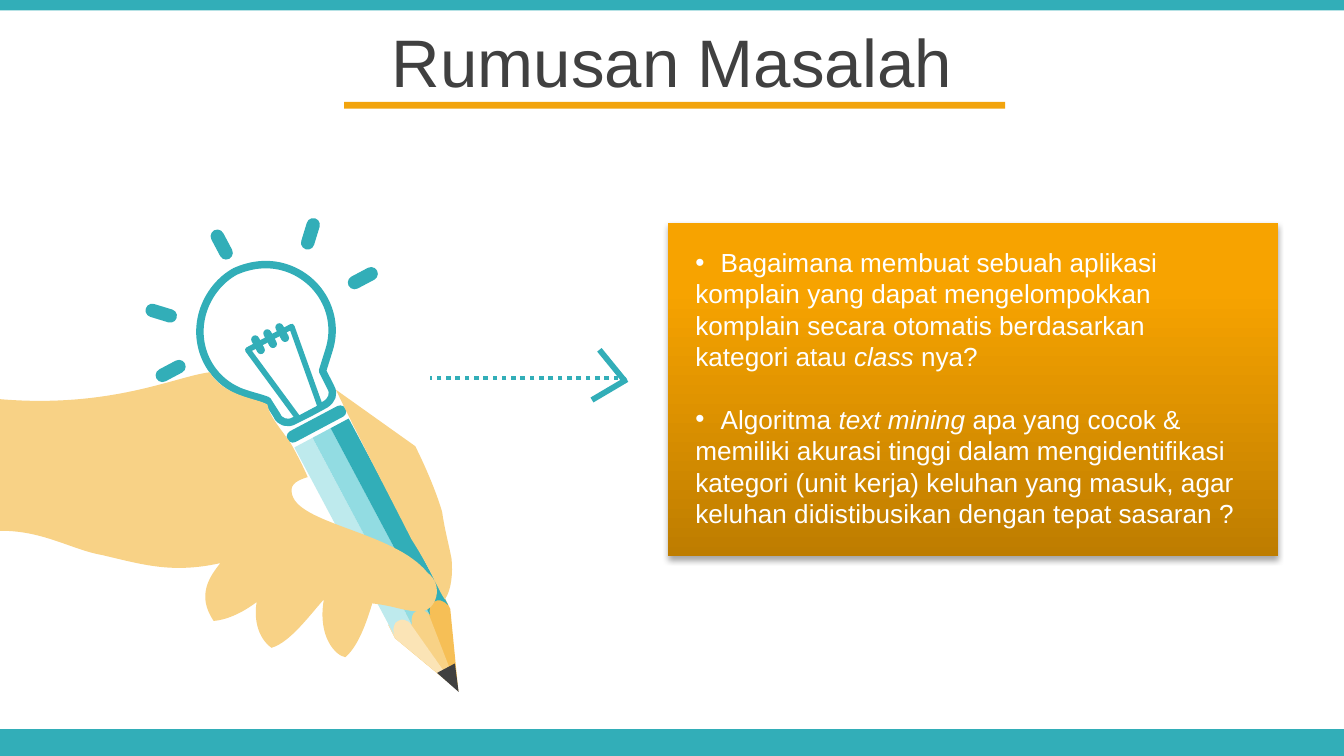
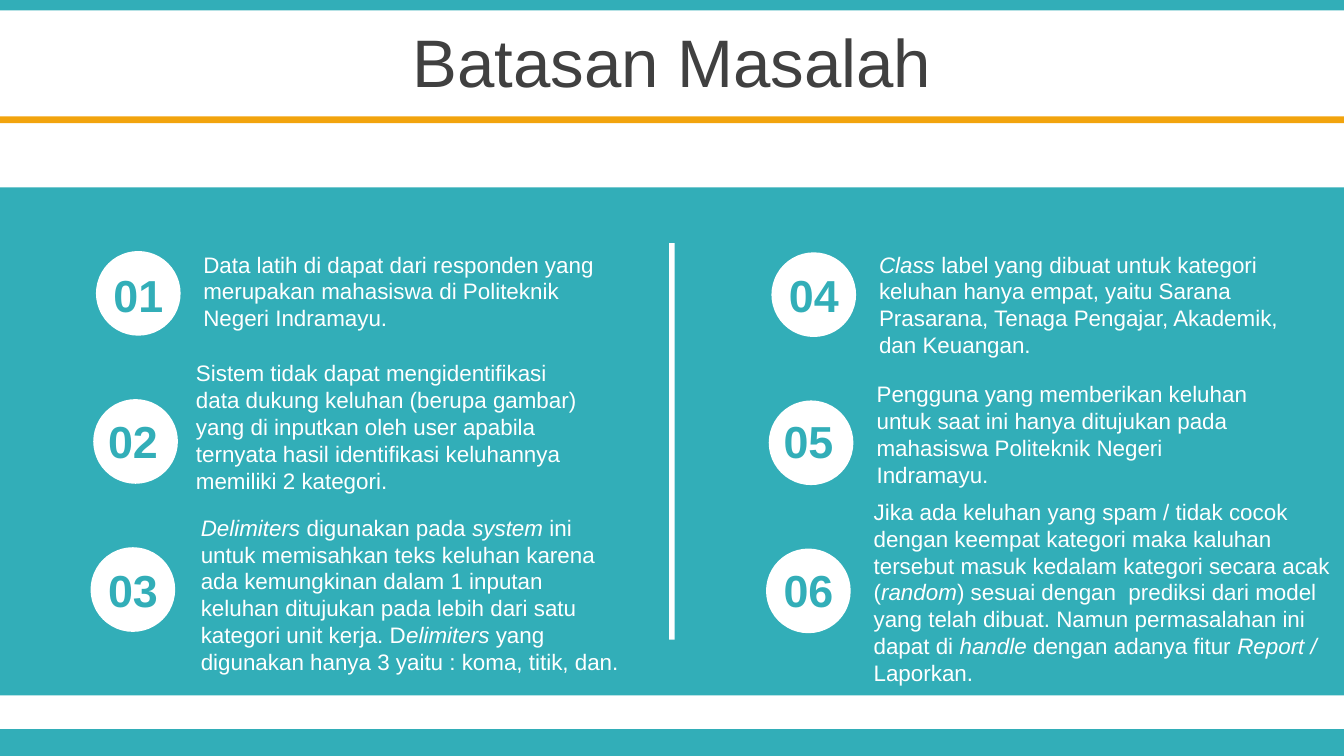
from lxml import etree
from pptx import Presentation
from pptx.dml.color import RGBColor
from pptx.enum.dml import MSO_LINE
from pptx.enum.shapes import MSO_CONNECTOR, MSO_SHAPE
from pptx.enum.text import MSO_ANCHOR, MSO_AUTO_SIZE, PP_ALIGN
from pptx.oxml import parse_xml
from pptx.oxml.ns import nsdecls, qn
from pptx.util import Inches, Pt

# Grid: 100 columns by 56.25 rows of square cells
COLUMNS, ROWS = 100, 56.25
CELL = Inches(0.1)
FONT = "Arial"
COLOURS = {
    "teal": "32AEB8", "teal_mid": "92DCE2", "teal_pale": "BEEAED",
    "amber": "F2A40D", "wood": "F6BF56", "skin": "F8D286", "wood_pale": "FBE4B6",
    "dark": "404040", "white": "FFFFFF",
    "box_low": "BE7D00", "box_mid": "F7A300", "box_high": "F8A400",
}


def cells(*values):
    return [round(value * CELL) for value in values]


def colour(name):
    return RGBColor.from_string(COLOURS[name])


class Painter:
    def __init__(self):
        self.deck = Presentation()
        self.deck.slide_width, self.deck.slide_height = cells(COLUMNS, ROWS)
        self.page = None

    def new_page(self, title):
        """Start a slide with its bands and title."""
        self.page = self.deck.slides.add_slide(self.deck.slide_layouts[6])
        self.shape((0, 54.26, COLUMNS, 1.99), "teal")
        self.shape((0, 0, COLUMNS, 0.77), "teal")
        self.text((0, 1.4, COLUMNS, 6.3), [title], 36, "dark",
                  align=PP_ALIGN.CENTER, anchor=MSO_ANCHOR.MIDDLE, grow=False)

    def paint(self, shape, fill, line=None, width=1):
        shape.shadow.inherit = False
        shape.fill.solid()
        shape.fill.fore_color.rgb = colour(fill)
        if line:
            shape.line.color.rgb = colour(line)
            shape.line.width = Pt(width)
        else:
            shape.line.fill.background()
        return shape

    def shape(self, place, fill, kind=MSO_SHAPE.RECTANGLE, turn=0, line=None, width=1):
        shape = self.page.shapes.add_shape(kind, *cells(*place))
        shape.rotation = turn
        return self.paint(shape, fill, line, width)

    def pill(self, place, turn):
        pill = self.shape(place, "teal", MSO_SHAPE.ROUNDED_RECTANGLE, turn)
        pill.adjustments[0] = 0.5

    def outline(self, contours, fill, line=None, width=1):
        """Closed contours of points (x, y) and curves (x1, y1, x2, y2, x, y)."""
        parts = [[round(value * 100) for value in part]
                 for contour in contours for part in contour]
        ends = iter([part[-2:] for part in parts])
        builder = None
        for contour in contours:
            start, *rest = [next(ends) for _ in contour]
            if builder is None:
                builder = self.page.shapes.build_freeform(*start, scale=CELL / 100)
            else:
                builder.move_to(*start)
            builder.add_line_segments(rest, close=True)
        shape = self.paint(builder.convert_to_shape(), fill, line, width)
        # Bend the segments that are curves
        origin = [min(part[axis] for part in parts) for axis in (-2, -1)]
        trace = next(shape._element.iter(qn("a:path")))
        segments = [node for node in trace if node.tag != qn("a:close")]
        for part, segment in zip(parts, segments):
            if len(part) == 6:
                curve = etree.Element(qn("a:cubicBezTo"))
                for x, y in zip(part[::2], part[1::2]):
                    etree.SubElement(curve, qn("a:pt"),
                                     x=str(x - origin[0]), y=str(y - origin[1]))
                trace.replace(segment, curve)

    def dotted_line(self, start, end, width):
        line = self.page.shapes.add_connector(MSO_CONNECTOR.STRAIGHT, *cells(*start, *end))
        line.line.color.rgb = colour("teal")
        line.line.width = Pt(width)
        line.line.dash_style = MSO_LINE.ROUND_DOT
        etree.SubElement(line._element.spPr, qn("a:effectLst"))

    def glossy_box(self, place):
        """Rectangle with a vertical gradient and a soft shadow."""
        properties = self.shape(place, "amber")._element.spPr
        stops = "".join(
            f'<a:gs pos="{share * 1000}"><a:srgbClr val="{COLOURS[name]}"/></a:gs>'
            for share, name in ((0, "box_low"), (80, "box_mid"), (100, "box_high")))
        properties.replace(properties.find(qn("a:solidFill")), parse_xml(
            f'<a:gradFill {nsdecls("a")}><a:gsLst>{stops}</a:gsLst>'
            '<a:lin ang="16200000" scaled="0"/></a:gradFill>'))
        properties.replace(properties.find(qn("a:effectLst")), parse_xml(
            f'<a:effectLst {nsdecls("a")}><a:outerShdw blurRad="{Pt(3.1)}" dist="{Pt(1.8)}" '
            'dir="5400000" rotWithShape="0"><a:srgbClr val="000000"><a:alpha val="35000"/>'
            '</a:srgbClr></a:outerShdw></a:effectLst>'))

    def text(self, place, lines, size, ink, bold=False, align=None,
             anchor=MSO_ANCHOR.TOP, grow=True):
        """One paragraph per line; *stars* mark italics."""
        box = self.page.shapes.add_textbox(*cells(*place))
        frame = box.text_frame
        frame.word_wrap = True
        frame.vertical_anchor = anchor
        frame.auto_size = MSO_AUTO_SIZE.SHAPE_TO_FIT_TEXT if grow else MSO_AUTO_SIZE.NONE
        for index, line in enumerate(lines):
            para = frame.add_paragraph() if index else frame.paragraphs[0]
            para.alignment = align
            para.font.name, para.font.size, para.font.bold = FONT, Pt(size), bold
            para.font.color.rgb = colour(ink)
            for number, words in enumerate(line.split("*")):
                if words:
                    span = para.add_run()
                    span.text = words
                    if number % 2:
                        span.font.italic = True
        return frame

    def bullet(self, para):
        properties = para._p.get_or_add_pPr()
        indent = cells(1.88)[0]
        properties.set("marL", str(indent))
        properties.set("indent", str(-indent))
        for mark in (f'<a:buFont {nsdecls("a")} typeface="{FONT}"/>',
                     f'<a:buChar {nsdecls("a")} char="•"/>'):
            properties.find(qn("a:defRPr")).addprevious(parse_xml(mark))


# Pencil, bulb and hand outlines, in grid cells
PENCIL = [
    ("wood", [(28.9, 46.5), (33, 44.3), (33.5, 45.3), (34.1, 51.4), (29.4, 47.5)]),
    ("skin", [(30.2, 45.7), (31.6, 45), (31.9, 45.7), (34.1, 51.4), (30.7, 46.7)]),
    ("wood_pale", [(28.9, 46.5), (30.2, 45.8), (30.4, 46, 30.5, 46.2, 30.6, 46.5),
                   (34, 51.3), (29.4, 47.5)]),
]
STRIPE = [(21.9, 33.3), (23.25, 32.58), (30.65, 46.48),
          (30.3, 46.1, 29.9, 46, 29.6, 46.2), (29.3, 46.3, 29.2, 46.8, 29.3, 47.2)]
STRIPE_STEP = (1.35, -0.72)
BULB = [
    (17.5, 20.2), (18.6, 19.7, 19.9, 19.5, 21.2, 19.9), (23.8, 20.7, 25.3, 23.4, 24.5, 26),
    (24, 27.6), (24.6, 28.8), (24.9, 29.3, 24.7, 29.8, 24.2, 30.1), (23.1, 30.7),
    (21.9, 31.3), (21.4, 31.6, 20.8, 31.4, 20.6, 30.9), (19.9, 29.8),
    (19.4, 29.6, 18.9, 29.5, 18.3, 29.3), (15.7, 28.5, 14.3, 25.8, 15.1, 23.2),
    (15.5, 21.9, 16.4, 20.8, 17.5, 20.2),
]
FINGER = [
    (25, 29), (30.9, 33.2), (31.7, 34.8, 32.5, 36.7, 32.9, 38.1),
    (33.1, 39.5, 33.4, 40.5, 33.6, 41.6), (33.7, 42.6, 33.6, 43.9, 33.1, 44.6),
    (32.6, 43.9, 32.2, 42.6, 30.6, 40.1), (29.3, 37.5, 26.4, 32, 25, 29),
]
PALM = [
    (15.6, 27.7), (16.7, 29.5, 19, 29.6, 19.9, 30.1), (20, 31, 21.3, 32.4, 21.7, 33.1),
    (22.2, 34, 22.5, 34.6, 22.9, 35.5), (22.2, 35.7, 21.6, 36, 21.7, 36.6),
    (21.9, 39, 29.3, 39.5, 31.8, 42.6), (33.1, 43.6, 32.4, 45.4, 31.4, 45.5),
    (30, 45.5, 29.5, 45.1, 27.7, 44.9), (27.1, 46.9, 26.5, 48.2, 25.7, 48.9),
    (25, 48.8, 23.6, 47.4, 24.1, 44.6), (23.1, 45.7, 21.6, 47.8, 20.2, 48.2),
    (19.1, 47.4, 18.9, 45.9, 19.1, 44.8), (18.3, 45.4, 17.1, 46.1, 15.9, 46.2),
    (14.6, 44.3, 15.6, 42.9, 16.4, 41.9), (12.8, 42.7, 10.6, 42, 7.6, 41.3),
    (5.3, 40.9, 3.1, 39.4, -0.2, 39.5), (0, 29.7), (8.3, 30.4, 13.1, 28, 15.6, 27.7),
]
RAYS = [(22.6, 16.2, 17), (11.5, 22.1, 287), (16, 17, 332), (26.5, 19.5, 62), (12.2, 26.4, 242)]

QUESTIONS = [
    "Bagaimana membuat sebuah aplikasi",
    "komplain yang dapat mengelompokkan",
    "komplain secara otomatis berdasarkan",
    "kategori atau *class *nya?",
    "Algoritma *text mining *apa yang cocok &",
    "memiliki akurasi tinggi dalam mengidentifikasi",
    "kategori (unit kerja) keluhan yang masuk, agar",
    "keluhan didistibusikan dengan tepat sasaran ?",
]
# Place and lines of each limit, down the left column and then the right
LIMITS = [
    ((14.14, 18.16, 31.8, 7.1), [
        "Data latih di dapat dari responden yang merupakan mahasiswa di Politeknik",
        "Negeri Indramayu."]),
    ((13.6, 26.25, 30.4, 11.1), [
        "Sistem tidak dapat mengidentifikasi",
        "data dukung keluhan (berupa gambar) yang di inputkan oleh user apabila",
        "ternyata hasil identifikasi keluhannya memiliki 2 kategori."]),
    ((13.96, 37.74, 33.3, 13.1), [
        "*Delimiters *digunakan pada *system *ini",
        "untuk memisahkan teks keluhan karena",
        "ada kemungkinan dalam 1 inputan",
        "keluhan ditujukan pada lebih dari satu",
        "kategori unit kerja. D*elimiters* yang",
        "digunakan hanya 3 yaitu : koma, titik, dan."]),
    ((64.42, 18.16, 31.8, 9.1), [
        "*Class *label yang dibuat untuk kategori",
        "keluhan hanya empat, yaitu Sarana",
        "Prasarana, Tenaga Pengajar, Akademik, dan Keuangan."]),
    ((64.24, 27.8, 31.8, 9.1), [
        "Pengguna yang memberikan keluhan",
        "untuk saat ini hanya ditujukan pada",
        "mahasiswa Politeknik Negeri Indramayu."]),
    ((64.02, 36.56, 36.5, 15.1), [
        "Jika ada keluhan yang spam / tidak cocok",
        "dengan keempat kategori maka kaluhan",
        "tersebut masuk kedalam kategori secara acak (*random*) sesuai dengan  prediksi dari model",
        "yang telah dibuat. Namun permasalahan ini",
        "dapat di *handle *dengan adanya fitur *Report /*",
        "Laporkan."]),
]
NUMBER_SPOTS = [(6.8, 19.4), (6.4, 30.3), (6.4, 41.4)]


def draw_idea(painter):
    # Pencil
    for fill, contour in PENCIL:
        painter.outline([contour], fill)
    for index, fill in enumerate(("teal_pale", "teal_mid", "teal")):
        shift = [index * step for step in STRIPE_STEP]
        stripe = [tuple(value + shift[i % 2] for i, value in enumerate(part))
                  for part in STRIPE]
        painter.outline([stripe], fill)
    painter.shape((32.9, 49.6, 1.5, 2), "dark", MSO_SHAPE.ISOSCELES_TRIANGLE, 152)
    # Bulb with rays, collar and filament
    painter.outline([BULB], "white", "teal", 4)
    painter.shape((19.7, 24.8, 3.7, 6.3), "white", MSO_SHAPE.TRAPEZOID, 152, "teal", 3)
    for left, top, turn in RAYS:
        painter.pill((left, top, 1, 2.4), turn)
    painter.pill((21.1, 31.1, 4.9, 0.9), 332)
    for index in range(3):
        painter.pill((18.9 + 0.9 * index, 24.9 - 0.45 * index, 0.6, 1.5), 332)
    # Hand
    painter.outline([FINGER, PALM], "skin")


def draw_problem(painter):
    painter.new_page("Rumusan Masalah")
    draw_idea(painter)
    painter.shape((25.6, 7.58, 49.2, 0.5), "amber")
    # Dotted arrow
    painter.dotted_line((46, 28.12), (32, 28.12), 2.5)
    painter.shape((43.5, 26.3, 4.1, 1.8), "teal", MSO_SHAPE.MATH_MINUS, 50.8)
    painter.shape((43.3, 28.1, 4.1, 1.8), "teal", MSO_SHAPE.MATH_MINUS, 329.4)
    # Questions
    painter.glossy_box((49.7, 16.6, 45.4, 24.8))
    frame = painter.text((50.75, 15.5, 44.3, 24.6), QUESTIONS, 14, "white")
    frame.margin_top = cells(2.83)[0]
    first, second = frame.paragraphs[0], frame.paragraphs[4]
    second.space_before = Pt(16.8)
    for para in (first, second):
        painter.bullet(para)


def draw_limits(painter):
    painter.new_page("Batasan Masalah")
    painter.shape((0, 13.95, COLUMNS, 37.8), "teal")
    painter.shape((49.8, 18.1, 0.4, 29.5), "white")
    painter.shape((0, 8.66, COLUMNS, 0.5), "amber")
    # Numbered limits in two columns
    for index, (place, lines) in enumerate(LIMITS):
        column, row = divmod(index, 3)
        shift = 50.26 * column
        painter.shape((7.14 + shift - 0.2 * row, 18.68 + 0.1 * column + 11.02 * row, 6.3, 6.3),
                      "white", MSO_SHAPE.OVAL)
        left, top = NUMBER_SPOTS[row]
        painter.text((left + shift, top, 7, 5), [f"{index + 1:02}"], 24, "teal",
                     bold=True, align=PP_ALIGN.CENTER)
        painter.text(place, lines, 12, "white")


def main():
    painter = Painter()
    draw_problem(painter)
    draw_limits(painter)
    painter.deck.save("out.pptx")


if __name__ == "__main__":
    main()
